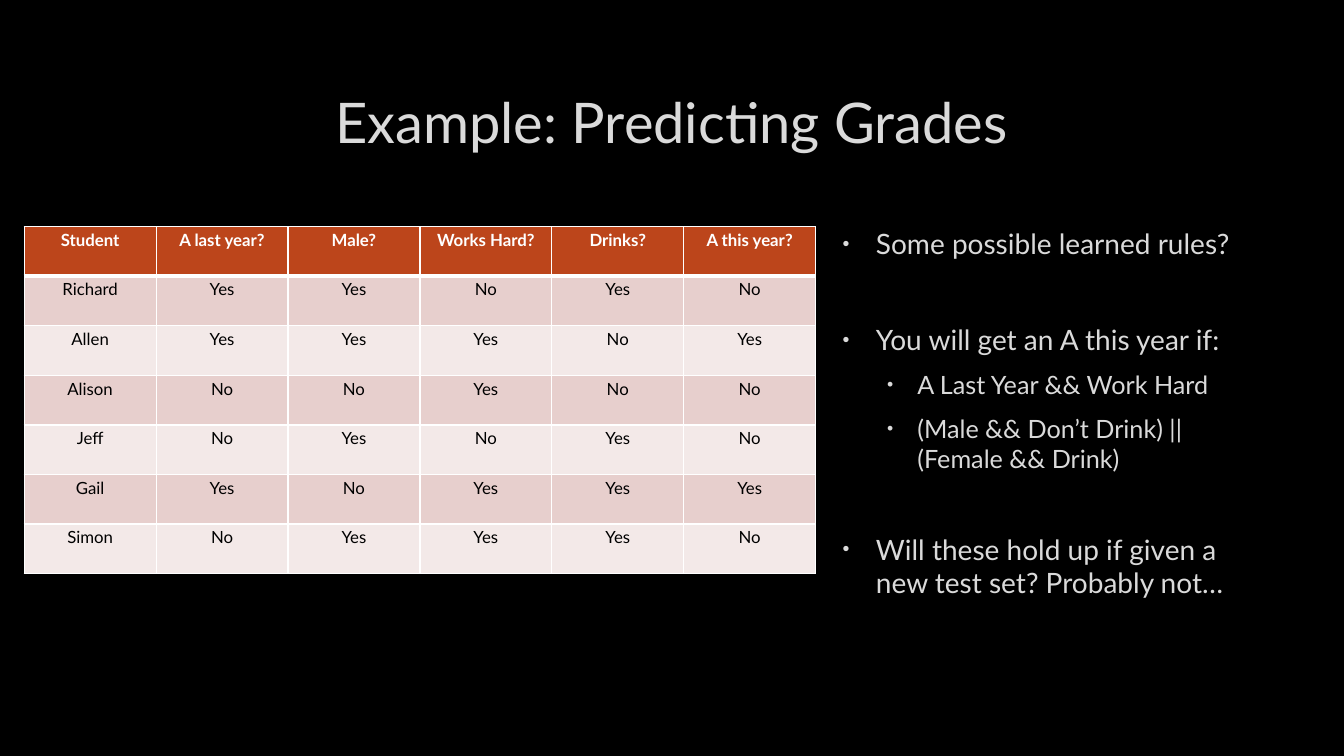
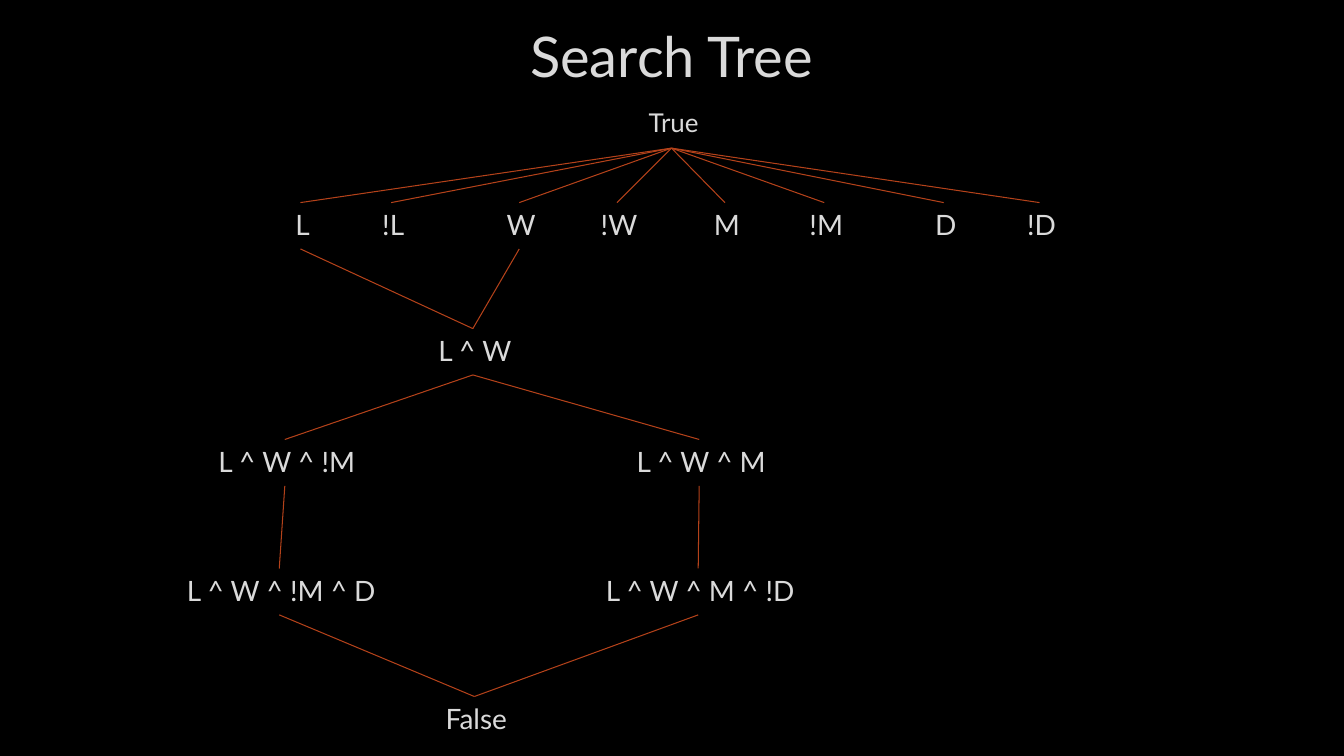
"""Build two slides on rule learning: a grades table and a search tree."""
from dataclasses import dataclass
from typing import Any, NamedTuple

from lxml import etree
from pptx import Presentation
from pptx import util as u
from pptx.dml.color import RGBColor
from pptx.enum import shapes, text
from pptx.oxml import ns


@dataclass(frozen=True)
class Theme:
    font: str = "Lato"
    background: str = "000000"
    ink: str = "DADADA"
    line: str = "B4421A"
    header: str = "BC451B"
    header_ink: str = "FFFFFF"
    bands: tuple[str, str] = ("E7CFCD", "F3E9E8")
    cell_ink: str = "000000"
    border: str = "FFFFFF"
    title_size: float = 40
    body_size: float = 20
    sub_size: float = 18
    cell_size: float = 12
    line_width: float = 0.75


class Box(NamedTuple):
    left: float
    top: float
    width: float
    height: float

    def lengths(self) -> list[int]:
        return [u.Inches(v) for v in self]


class Bullet(NamedTuple):
    words: str
    before: float
    level: int = 0


class Node(NamedTuple):
    label: str
    left: float
    top: float
    width: float
    size: float = 20


THEME = Theme()
NODE_HEIGHT = 0.46
INDENTS = ((0.38, -0.33), (0.79, -0.3))

GRADES = (
    ("Student", "A last year?", "Male?", "Works Hard?", "Drinks?", "A this year?"),
    ("Richard", "Yes", "Yes", "No", "Yes", "No"),
    ("Allen", "Yes", "Yes", "Yes", "No", "Yes"),
    ("Alison", "No", "No", "Yes", "No", "No"),
    ("Jeff", "No", "Yes", "No", "Yes", "No"),
    ("Gail", "Yes", "No", "Yes", "Yes", "Yes"),
    ("Simon", "No", "Yes", "Yes", "Yes", "No"),
)

BULLETS = (
    Bullet("Some possible learned rules?", 0),
    Bullet("You will get an A this year if:", 38.5),
    Bullet("A Last Year && Work Hard", 3.6, 1),
    Bullet("(Male && Don’t Drink) || (Female && Drink)", 3.6, 1),
    Bullet("Will these hold up if given a new test set? Probably not…", 35.5),
)

LITERAL_TOP, TRIPLE_TOP, QUAD_TOP = 2.01, 4.36, 5.64
LITERALS = (
    Node("L", 2.73, LITERAL_TOP, 0.5),
    Node("!L", 3.63, LITERAL_TOP, 0.5),
    Node("W", 4.9, LITERAL_TOP, 0.5),
    Node("!W", 5.8, LITERAL_TOP, 0.64),
    Node("M", 6.94, LITERAL_TOP, 0.5),
    Node("!M", 7.84, LITERAL_TOP, 0.67),
    Node("D", 9.11, LITERAL_TOP, 0.5),
    Node("!D", 10.01, LITERAL_TOP, 0.6),
)
NODES = (
    Node("True", 6.27, 1.01, 0.78, 18.5),
    Node("False", 4.25, 6.91, 0.91),
    *LITERALS,
    Node("L ^ W", 4.08, 3.26, 1.22),
    Node("L ^ W ^ !M", 2.02, TRIPLE_TOP, 1.61),
    Node("L ^ W ^ M", 6.14, TRIPLE_TOP, 1.59),
    Node("L ^ W ^ !M ^ D", 1.66, QUAD_TOP, 2.22),
    Node("L ^ W ^ M ^ !D", 5.74, QUAD_TOP, 2.37),
)
EDGES = (
    *(("True", literal.label) for literal in LITERALS),
    ("L", "L ^ W"),
    ("W", "L ^ W"),
    ("L ^ W", "L ^ W ^ !M"),
    ("L ^ W", "L ^ W ^ M"),
    ("L ^ W ^ !M", "L ^ W ^ !M ^ D"),
    ("L ^ W ^ M", "L ^ W ^ M ^ !D"),
    ("L ^ W ^ !M ^ D", "False"),
    ("L ^ W ^ M ^ !D", "False"),
)


def set_all(target: Any, values: dict[str, Any]) -> None:
    for name, value in values.items():
        setattr(target, name, value)


def add_xml(parent: Any, tag: str, **attrs: str) -> Any:
    return etree.SubElement(parent, ns.qn(tag), attrs)


def write(p: Any, words: str, size: float, colour: str = THEME.ink, bold: bool = False) -> None:
    r = p.add_run()
    r.text = words
    set_all(r.font, {"name": THEME.font, "size": u.Pt(size), "bold": bold})
    r.font.color.rgb = RGBColor.from_string(colour)


def add_text_box(s: Any, box: Box, **frame: Any) -> Any:
    sp = s.shapes.add_textbox(*box.lengths())
    set_all(sp.text_frame, {"word_wrap": True, **frame})
    return sp


def add_slide(prs: Any, title: str, box: Box) -> Any:
    s = prs.slides.add_slide(prs.slide_layouts[6])
    s.background.fill.solid()
    s.background.fill.fore_color.rgb = RGBColor.from_string(THEME.background)
    sp = add_text_box(s, box, vertical_anchor=text.MSO_ANCHOR.MIDDLE)
    p = sp.text_frame.paragraphs[0]
    p.alignment = text.PP_ALIGN.CENTER
    write(p, title, THEME.title_size)
    return s


def add_borders(cell: Any, row: int) -> None:
    tc_pr = cell._tc.get_or_add_tcPr()
    widths = {"L": 1, "R": 1, "T": 3 if row == 1 else 1, "B": 3 if row == 0 else 1}
    for side, width in widths.items():
        ln = add_xml(tc_pr, f"a:ln{side}", w=str(u.Pt(width)))
        add_xml(add_xml(ln, "a:solidFill"), "a:srgbClr", val=THEME.border)


def add_grades(s: Any, box: Box) -> None:
    table = s.shapes.add_table(len(GRADES), len(GRADES[0]), *box.lengths()).table
    table.horz_banding = False
    side, end = u.Inches(0.07), u.Inches(0.03)
    margins = {"margin_left": side, "margin_right": side, "margin_top": end, "margin_bottom": end}
    for i, row in enumerate(GRADES):
        is_header = i == 0
        fill = THEME.header if is_header else THEME.bands[(i - 1) % 2]
        ink = THEME.header_ink if is_header else THEME.cell_ink
        for j, words in enumerate(row):
            cell = table.cell(i, j)
            set_all(cell, margins)
            add_borders(cell, i)
            cell.fill.solid()
            cell.fill.fore_color.rgb = RGBColor.from_string(fill)
            p = cell.text_frame.paragraphs[0]
            p.alignment = text.PP_ALIGN.CENTER
            write(p, words, THEME.cell_size, ink, is_header)


def add_bullets(s: Any, box: Box) -> None:
    tf = add_text_box(s, box, margin_top=u.Inches(0.52)).text_frame
    for i, bullet in enumerate(BULLETS):
        p = tf.add_paragraph() if i else tf.paragraphs[0]
        spacing = {"space_before": u.Pt(bullet.before), "space_after": u.Pt(6)}
        set_all(p, {"level": bullet.level, **spacing})
        p_pr = p._p.get_or_add_pPr()
        for name, value in zip(("marL", "indent"), INDENTS[bullet.level]):
            p_pr.set(name, str(u.Inches(value)))
        add_xml(add_xml(p_pr, "a:buClr"), "a:srgbClr", val=THEME.ink)
        add_xml(p_pr, "a:buSzPct", val="70000")
        add_xml(p_pr, "a:buFont", typeface="Arial")
        add_xml(p_pr, "a:buChar", char="•")
        write(p, bullet.words, THEME.sub_size if bullet.level else THEME.body_size)


def add_node(s: Any, node: Node) -> Any:
    box = Box(node.left, node.top, node.width, NODE_HEIGHT)
    sp = add_text_box(s, box, margin_left=0, margin_right=0)
    p = sp.text_frame.paragraphs[0]
    p.alignment = text.PP_ALIGN.CENTER
    p._p.get_or_add_pPr().set("marL", str(u.Inches(0.04)))
    write(p, node.label, node.size)
    return sp


def add_edge(s: Any, parent: Any, child: Any) -> None:
    line = s.shapes.add_connector(shapes.MSO_CONNECTOR.STRAIGHT, 0, 0, 0, 0)
    line.begin_connect(parent, 2)
    line.end_connect(child, 0)
    line.line.color.rgb = RGBColor.from_string(THEME.line)
    line.line.width = u.Pt(THEME.line_width)
    add_xml(line._element.spPr, "a:effectLst")


def main() -> None:
    prs = Presentation()
    set_all(prs, {"slide_width": u.Inches(13.33), "slide_height": u.Inches(7.5)})

    s = add_slide(prs, "Example: Predicting Grades", Box(1, 0.67, 11.32, 1.06))
    add_grades(s, Box(0.24, 2.25, 7.85, 3.44))
    add_bullets(s, Box(8.21, 1.73, 4.5, 5.36))

    s = add_slide(prs, "Search Tree", Box(1, 0.09, 11.32, 0.92))
    boxes = {node.label: add_node(s, node) for node in NODES}
    for parent, child in EDGES:
        add_edge(s, boxes[parent], boxes[child])

    prs.save("out.pptx")


if __name__ == "__main__":
    main()
